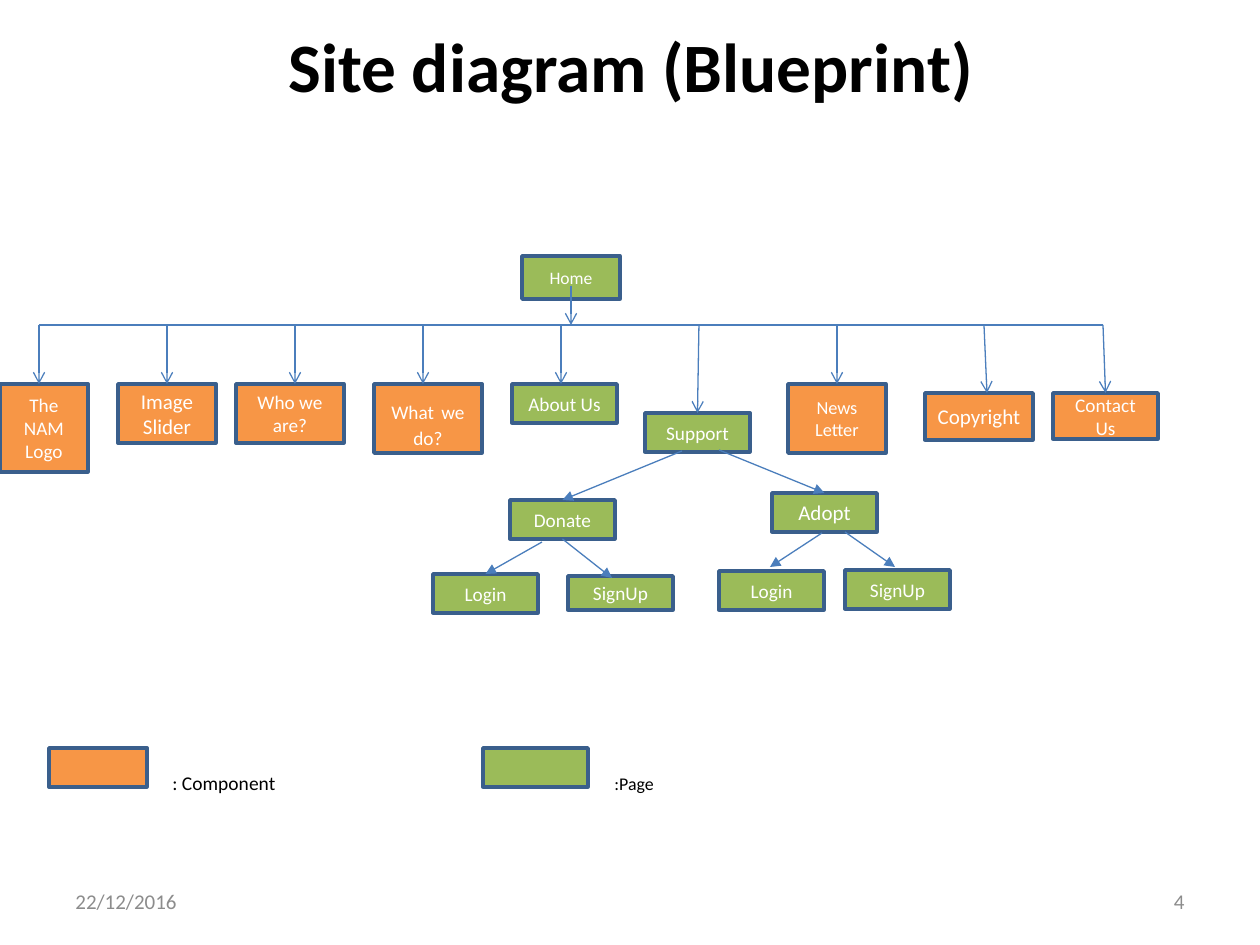
from lxml.etree import SubElement
from pptx import Presentation
from pptx.dml.color import RGBColor
from pptx.enum.shapes import MSO_CONNECTOR as LINE, MSO_SHAPE as SHAPE
from pptx.enum.text import MSO_ANCHOR as ANCHOR, PP_ALIGN as ALIGN
from pptx.oxml.ns import qn
from pptx.util import Pt

PX = 914400 / 126
COLORS = {
    "page": "9BBB59", "component": "F79646", "border": "3A5F8C", "link": "4B7EBC",
    "white": "FFFFFF", "black": "000000", "gray": "8C8C8C",
}


def emu(*lengths):
    return [round(length * PX) for length in lengths]


def rgb(name):
    return RGBColor.from_string(COLORS[name])


deck = Presentation()
deck.slide_width, deck.slide_height = emu(1260, 945)
slide = deck.slides.add_slide(deck.slide_layouts[6])
shapes = slide.shapes

labels = [
    ("Site diagram (Blueprint)", 64, 26, 1134, 77, 39.6, "black", ALIGN.CENTER),
    (": Component", 160, 763, 200, 40, 11.1, "black", ALIGN.LEFT),
    (":Page", 602, 763, 120, 40, 10.2, "black", ALIGN.LEFT),
    ("22/12/2016", 63, 876, 294, 50, 12, "gray", ALIGN.LEFT),
    ("4", 903, 876, 294, 50, 12, "gray", ALIGN.RIGHT),
]
for wording, x, y, w, h, size, color, align in labels:
    frame = shapes.add_textbox(*emu(x, y, w, h)).text_frame
    frame.word_wrap = True
    frame.vertical_anchor = ANCHOR.MIDDLE
    paragraph = frame.paragraphs[0]
    paragraph.text = wording
    paragraph.alignment = align
    paragraph.font.name = "Calibri"
    paragraph.font.size = Pt(size)
    paragraph.font.bold = size > 30
    paragraph.font.color.rgb = rgb(color)

site_boxes = [
    ("support", "Support", 645, 413, 105, 39, 11, "page"),
    ("donate", "Donate", 510, 500, 105, 39, 11, "page"),
    ("adopt", "Adopt", 772, 493, 105, 39, 12, "page"),
    ("adopt login", "Login", 719, 571, 105, 39, 11, "page"),
    ("adopt signup", "SignUp", 845, 570, 105, 39, 11, "page"),
    ("donate login", "Login", 433, 574, 105, 39, 11, "page"),
    ("donate signup", "SignUp", 568, 576, 105, 34, 11, "page"),
    ("contact", "Contact Us", 1053, 393, 105, 46, 11, "component"),
    ("home", "Home", 522, 256, 98, 43, 10, "page"),
    ("logo", "The NAM Logo", 0, 384, 88, 88, 11, "component"),
    ("slider", "Image Slider", 118, 384, 98, 59, 12, "component"),
    ("who", "Who we are?", 236, 384, 108, 59, 11, "component"),
    ("what", "What we do?", 374, 384, 108, 69, 11, "component"),
    ("news", "News Letter", 788, 384, 98, 69, 10.5, "component"),
    ("about", "About Us", 512, 384, 105, 39, 11, "page"),
    ("copyright", "Copyright", 925, 393, 108, 47, 12, "component"),
    ("component key", "", 49, 748, 98, 39, 11, "component"),
    ("page key", "", 483, 748, 105, 39, 11, "page"),
]
nodes = {}
for key, wording, x, y, w, h, size, kind in site_boxes:
    node = nodes[key] = shapes.add_shape(SHAPE.RECTANGLE, *emu(x, y, w, h))
    node.shadow.inherit = False
    node.fill.solid()
    node.fill.fore_color.rgb = rgb(kind)
    node.line.color.rgb = rgb("border")
    node.line.width = Pt(2)
    if not wording:
        continue
    frame = node.text_frame
    frame.word_wrap = " " in wording
    frame.vertical_anchor = ANCHOR.MIDDLE
    frame.margin_left, frame.margin_right = emu(12, 12)
    paragraph = frame.paragraphs[0]
    paragraph.alignment = ALIGN.CENTER
    paragraph.font.name = "Calibri"
    paragraph.font.size = Pt(size)
    paragraph.font.color.rgb = rgb("white")
    if key == "what":
        for part, part_size in [("What", 11), (" ", 18), ("we do?", 11)]:
            run = paragraph.add_run()
            run.text = part
            run.font.size = Pt(part_size)
            run.font.name = "Calibri"
            run.font.color.rgb = rgb("white")
    else:
        paragraph.text = wording

BAR = 325
links = [
    (562, 539, 612, 578, "triangle", "donate", None),
    (542, 542, 485, 574, "triangle", None, "donate login"),
    (845, 532, 895, 567, "triangle", None, None),
    (822, 533, 770, 567, "triangle", None, None),
    (682, 451, 562, 500, "triangle", None, "donate"),
    (719, 450, 824, 493, "triangle", None, "adopt"),
    (39, BAR, 1103, BAR, None, None, None),
    (571, 286, 571, BAR, "arrow", None, None),
    (39, BAR, 39, 384, "arrow", None, None),
    (167, BAR, 167, 384, "arrow", None, "slider"),
    (295, BAR, 295, 384, "arrow", None, None),
    (423, BAR, 423, 384, "arrow", None, None),
    (561, BAR, 561, 384, "arrow", None, None),
    (699, BAR, 698, 413, "arrow", None, "support"),
    (837, BAR, 837, 384, "arrow", None, "news"),
    (984, BAR, 987, 393, "arrow", None, None),
    (1103, BAR, 1105, 393, "arrow", None, "contact"),
]
for x1, y1, x2, y2, head, parent, child in links:
    link = shapes.add_connector(LINE.STRAIGHT, *emu(x1, y1, x2, y2))
    if parent:
        link.begin_connect(nodes[parent], 2)
    if child:
        link.end_connect(nodes[child], 0)
    link.line.color.rgb = rgb("link")
    link.line.width = Pt(0.75)
    if head:
        SubElement(link.line._get_or_add_ln(), qn("a:tailEnd"), type=head)
    SubElement(link._element.spPr, qn("a:effectLst"))

deck.save("out.pptx")
